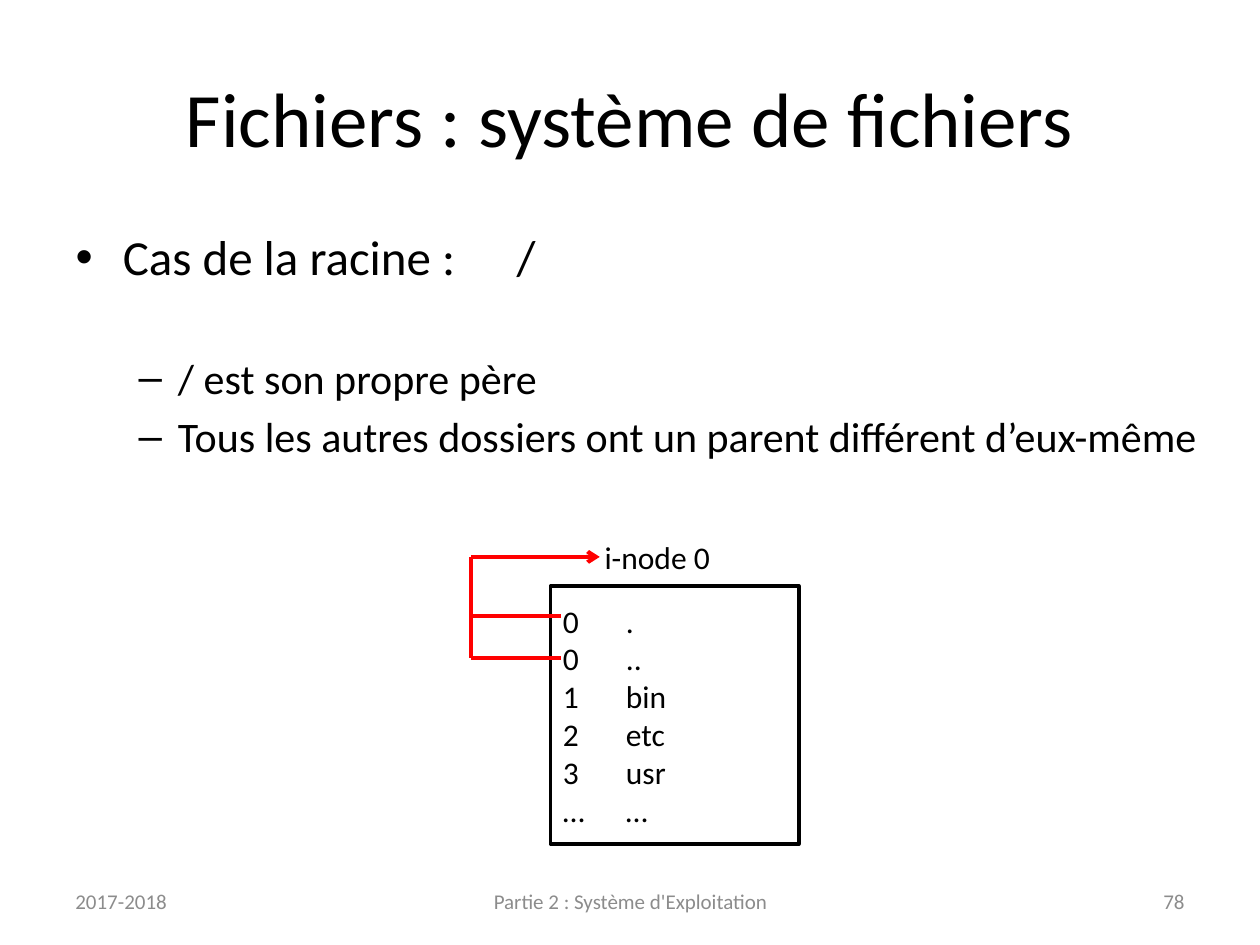
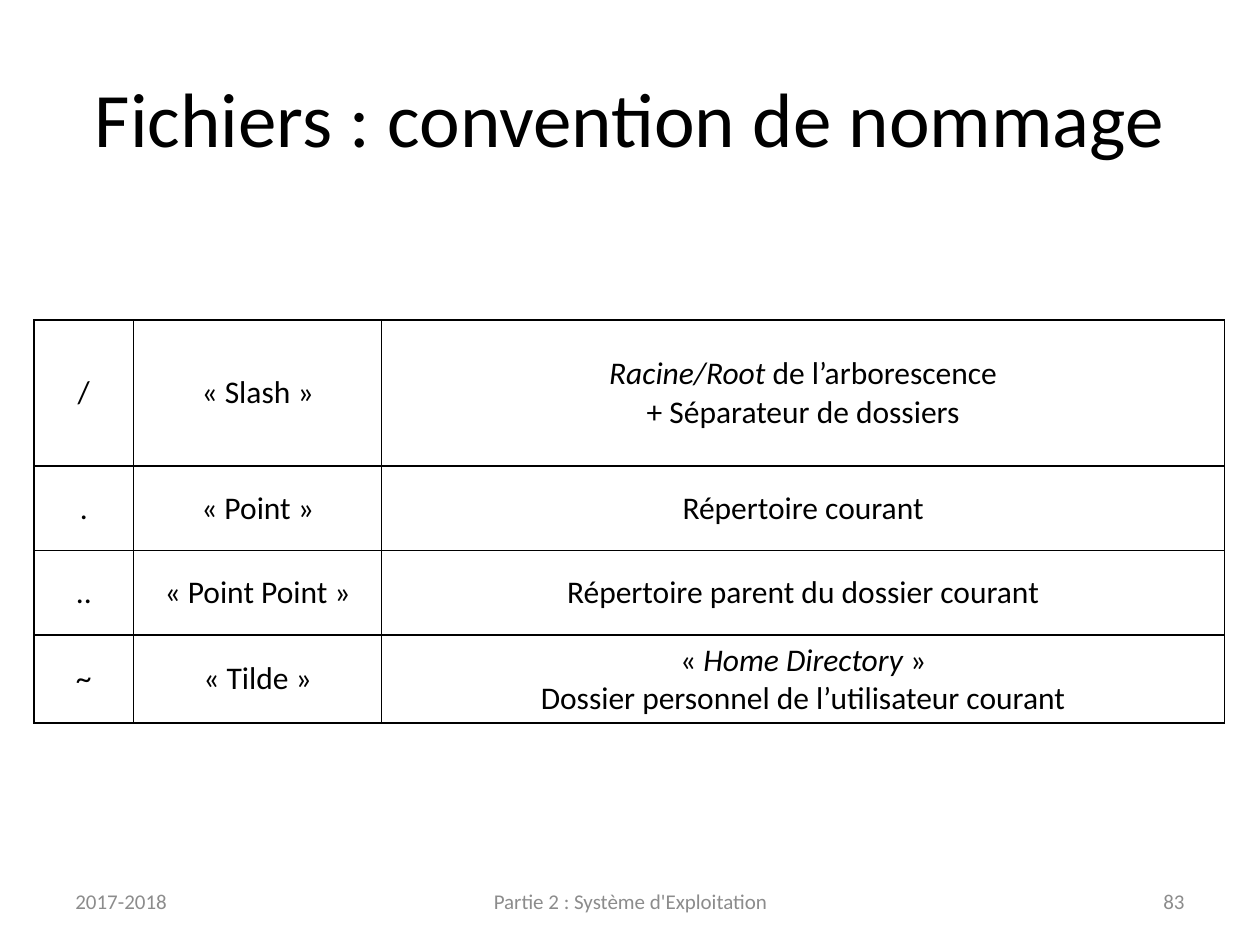
from lxml import etree
from pptx import Presentation
from pptx.dml.color import RGBColor
from pptx.enum.shapes import MSO_CONNECTOR, MSO_SHAPE
from pptx.enum.text import MSO_ANCHOR, MSO_AUTO_SIZE, PP_ALIGN
from pptx.oxml.ns import qn
from pptx.util import Inches, Pt

BLACK = RGBColor(0x00, 0x00, 0x00)
WHITE = RGBColor(0xFF, 0xFF, 0xFF)
GREY = RGBColor(0x8C, 0x8C, 0x8C)
RED = RGBColor(0xFF, 0x00, 0x00)
FONT = "Calibri"
LEFT, CENTER, RIGHT = PP_ALIGN.LEFT, PP_ALIGN.CENTER, PP_ALIGN.RIGHT
TOP, MIDDLE = MSO_ANCHOR.TOP, MSO_ANCHOR.MIDDLE
NO_AUTOFIT = MSO_AUTO_SIZE.NONE
RECTANGLE, STRAIGHT = MSO_SHAPE.RECTANGLE, MSO_CONNECTOR.STRAIGHT
LAYOUT_BODY, LAYOUT_TITLE = 1, 5

DATE = "2017-2018"
COURSE = "Partie 2 : Système d'Exploitation"
BODY = [
    ("Cas de la racine :\t/", 0, 28, 0),
    ("/ est son propre père", 1, 24, 38),
    ("Tous les autres dossiers ont un parent différent d’eux-même", 1, 24, 4.8),
]
ROOT_ENTRIES = ["0\t.", "0\t..", "1\tbin", "2\tetc", "3\tusr", "…\t…"]
CONVENTIONS = [
    ("/", "« Slash »", "*Racine/Root* de l’arborescence\n+ Séparateur de dossiers"),
    (".", "« Point »", "Répertoire courant"),
    ("..", "« Point Point »", "Répertoire parent du dossier courant"),
    ("~", "« Tilde »", "« *Home Directory* »\nDossier personnel de l’utilisateur courant"),
]


def write(p, text, size=18, color=BLACK, align=LEFT):
    """Fill a paragraph; *stars* mark italics and newlines break lines."""
    p.alignment = align
    for i, piece in enumerate(text.split("*")):
        for j, line in enumerate(piece.split("\n")):
            if j:
                p.add_line_break()
            if line:
                r = p.add_run()
                r.text = line
                r.font.name, r.font.size = FONT, Pt(size)
                r.font.color.rgb = color
                r.font.italic = i % 2 == 1


def write_lines(tf, lines, **fmt):
    """Write one paragraph per line."""
    for i, line in enumerate(lines):
        write(tf.add_paragraph() if i else tf.paragraphs[0], line, **fmt)


def add_text(s, text, x, y, w, h, anchor=TOP, **fmt):
    """Add a wrapping text box."""
    tf = s.shapes.add_textbox(Inches(x), Inches(y), Inches(w), Inches(h)).text_frame
    tf.word_wrap = True
    tf.vertical_anchor = anchor
    write_lines(tf, [text], **fmt)


def add_line(s, x1, y1, x2, y2, arrow=False):
    """Draw a red line, with an arrowhead at its end if asked."""
    cn = s.shapes.add_connector(STRAIGHT, Inches(x1), Inches(y1), Inches(x2), Inches(y2))
    cn.line.color.rgb = RED
    cn.line.width = Pt(2.25)
    if arrow:
        etree.SubElement(cn.line._get_or_add_ln(), qn("a:tailEnd"), type="arrow")
    etree.SubElement(cn._element.spPr, qn("a:effectLst"))


def add_footer(s, number, y=6.95, h=0.4):
    """Add the date, course name and slide number."""
    for text, x, w, align in ((DATE, 0.5, 2.33, LEFT), (COURSE, 3.42, 3.17, CENTER),
                              (str(number), 7.17, 2.33, RIGHT)):
        add_text(s, text, x, y, w, h, anchor=MIDDLE, size=12, color=GREY, align=align)


def place(sp, x, y, w, h):
    """Move and size a shape."""
    sp.left, sp.top, sp.width, sp.height = (Inches(v) for v in (x, y, w, h))


def new_slide(prs, layout, title, number):
    """Start a slide with its title and footer."""
    s = prs.slides.add_slide(prs.slide_layouts[layout])
    sp = s.shapes.title
    place(sp, 0.5, 0.3, 9, 1.25)
    tf = sp.text_frame
    tf.auto_size = NO_AUTOFIT
    tf.vertical_anchor = MIDDLE
    write_lines(tf, [title], size=44, align=CENTER)
    add_footer(s, number)
    return s


def fill_body(s, x, y, w, h):
    """Fill the body placeholder with the bulleted list."""
    sp = s.placeholders[1]
    place(sp, x, y, w, h)
    tf = sp.text_frame
    tf.auto_size = NO_AUTOFIT
    for i, (text, level, size, before) in enumerate(BODY):
        p = tf.add_paragraph() if i else tf.paragraphs[0]
        p.level = level
        p.space_before = Pt(before)
        write(p, text, size=size)


def add_inode(s, x, y, w, h):
    """Draw the root i-node and the links from its entries back to it."""
    sp = s.shapes.add_shape(RECTANGLE, Inches(x), Inches(y), Inches(w), Inches(h))
    sp.shadow.inherit = False
    sp.fill.background()
    sp.line.color.rgb = BLACK
    sp.line.width = Pt(2)
    sp.text_frame.vertical_anchor = MIDDLE
    write_lines(sp.text_frame, ROOT_ENTRIES)
    add_text(s, "i-node 0", x + 0.33, y - 0.43, 1.3, 0.4)
    trunk, top, bottom = x - 0.63, y - 0.23, y + 0.57
    for entry in (y + 0.24, bottom):
        add_line(s, x + 0.08, entry, trunk, entry)
    add_line(s, trunk, bottom, trunk, top)
    add_line(s, trunk, top, x + 0.39, top, arrow=True)


def add_borders(cell):
    """Give a cell thin black borders, placed before its fill."""
    tc_pr = cell._tc.get_or_add_tcPr()
    for i, side in enumerate(("lnL", "lnR", "lnT", "lnB")):
        ln = etree.Element(qn(f"a:{side}"), w=str(Pt(1)))
        fill = etree.SubElement(ln, qn("a:solidFill"))
        etree.SubElement(fill, qn("a:srgbClr"), val=str(BLACK))
        tc_pr.insert(i, ln)


def add_conventions(s, x, y, widths, heights):
    """Add the table of naming conventions."""
    table = s.shapes.add_table(len(heights), len(widths), Inches(x), Inches(y),
                               Inches(sum(widths)), Inches(sum(heights))).table
    table.first_row = table.horz_banding = False
    for column, width in zip(table.columns, widths):
        column.width = Inches(width)
    for row, height, texts in zip(table.rows, heights, CONVENTIONS):
        row.height = Inches(height)
        for cell, text in zip(row.cells, texts):
            cell.fill.solid()
            cell.fill.fore_color.rgb = WHITE
            cell.vertical_anchor = MIDDLE
            add_borders(cell)
            write(cell.text_frame.paragraphs[0], text, align=CENTER)


def main():
    """Build both slides and save them."""
    prs = Presentation()
    prs.slide_width, prs.slide_height = Inches(10), Inches(7.5)
    s = new_slide(prs, LAYOUT_BODY, "Fichiers : système de fichiers", 78)
    fill_body(s, 0.5, 1.75, 9.22, 4.95)
    add_inode(s, 4.37, 4.65, 1.97, 2.05)
    s = new_slide(prs, LAYOUT_TITLE, "Fichiers : convention de nommage", 83)
    add_conventions(s, 0.27, 2.54, [0.79, 1.97, 6.69], [1.16] + [0.67] * 3)
    prs.save("out.pptx")


if __name__ == "__main__":
    main()
